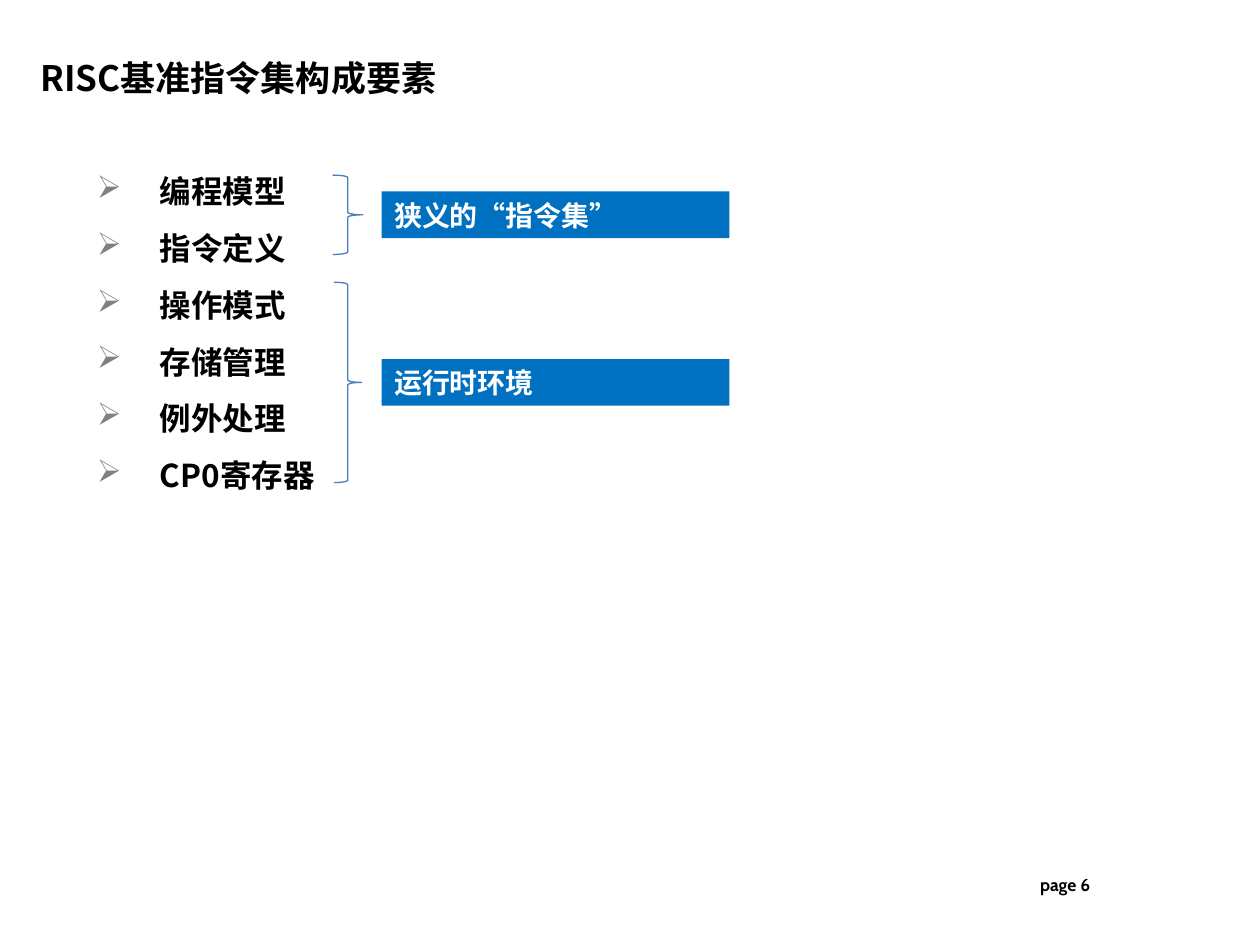
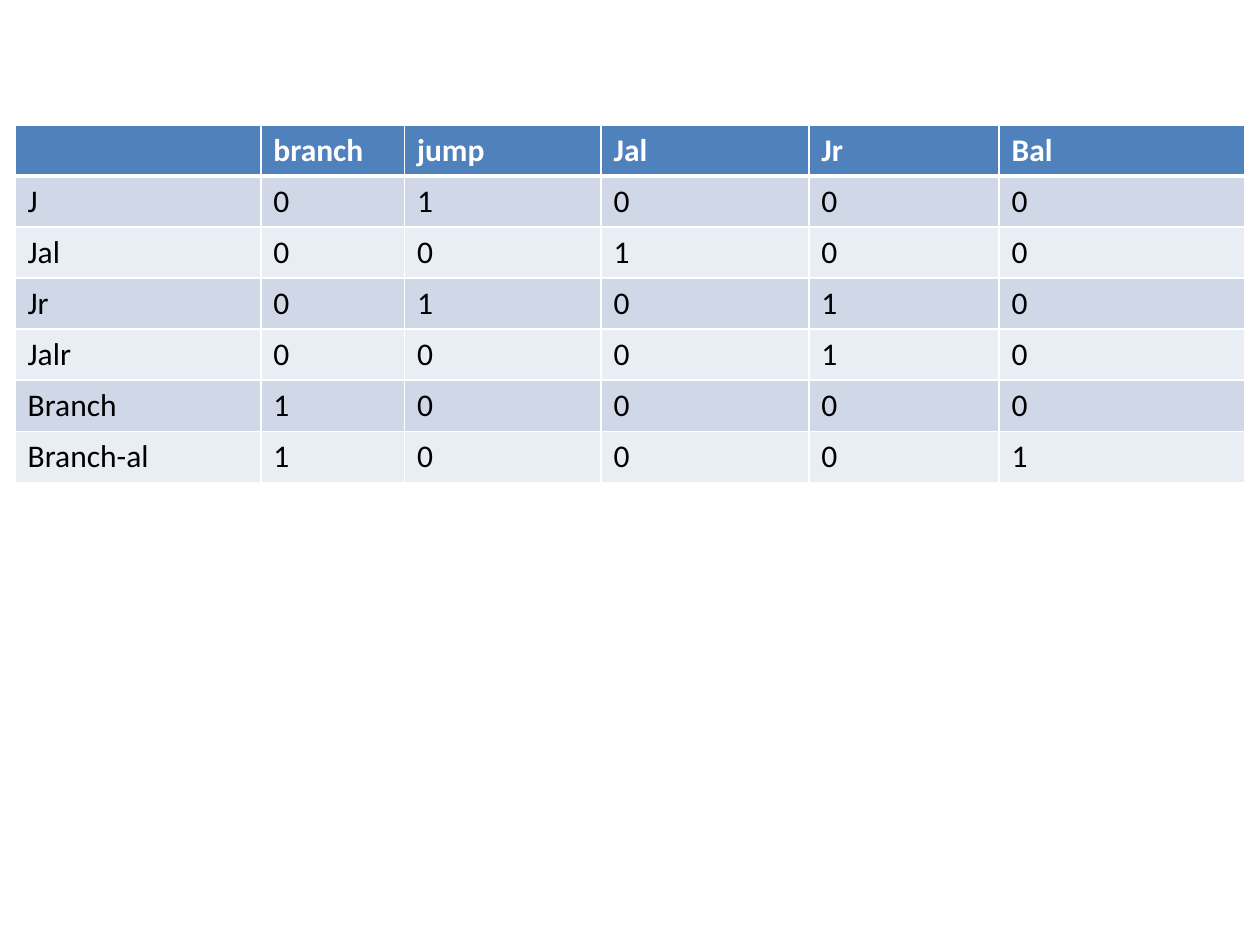
from lxml.etree import SubElement
from pptx import Presentation
from pptx.dml.color import RGBColor
from pptx.enum.shapes import MSO_SHAPE
from pptx.enum.text import MSO_ANCHOR, PP_ALIGN
from pptx.oxml.ns import qn
from pptx.util import Inches, Pt

HUES = {
    "ink": "000000",
    "paper": "FFFFFF",
    "mark": "808080",
    "brace": "4B7EBC",
    "label": "0070C0",
    "head": "4F81BD",
    "odd": "D0D8E8",
    "even": "E9EDF4",
}
HAN = "Noto Sans CJK SC"
LATIN = "Calibri"
PAGE = "Cabin"
TOPICS = ["编程模型", "指令定义", "操作模式", "存储管理", "例外处理", "CP0寄存器"]
GROUPS = [
    ("狭义的“指令集”", (2.64, 1.39, 0.24, 0.63)),
    ("运行时环境", (2.65, 2.24, 0.22, 1.59)),
]
SIGNALS = ["", "branch", "jump", "Jal", "Jr", "Bal"]
CODES = {
    "J": "01000",
    "Jal": "00100",
    "Jr": "01010",
    "Jalr": "00010",
    "Branch": "10000",
    "Branch-al": "10001",
}
WIDTHS = [1.95, 1.14, 1.56, 1.65, 1.51, 1.95]
ROW = 2.84 / 7


def hue(name):
    """Return a named colour."""
    return RGBColor.from_string(HUES[name])


def inch(box):
    """Turn left, top, width and height into lengths."""
    return [Inches(side) for side in box]


def paint(frame, face, size, color="ink", bold=False):
    """Format every run of a text frame."""
    for para in frame.paragraphs:
        for run in para.runs:
            font = run.font
            font.name, font.size, font.bold = face, Pt(size), bold
            font.color.rgb = hue(color)
            if face == HAN:
                SubElement(run.font._element, qn("a:ea"), typeface=face)


def add_title(slide, text):
    """Place and style the slide title."""
    title = slide.shapes.title
    title.left, title.top, title.width, title.height = inch((0.24, 0.38, 5.87, 0.44))
    frame = title.text_frame
    frame.text = text
    frame.vertical_anchor = MSO_ANCHOR.BOTTOM
    frame.margin_left = frame.margin_right = Inches(0.08)
    frame.margin_top = frame.margin_bottom = Inches(0.04)
    frame.paragraphs[0].alignment = PP_ALIGN.LEFT
    paint(frame, HAN, 20, bold=True)


def add_text(slide, box, text):
    """Add a wrapping text box and return its frame."""
    frame = slide.shapes.add_textbox(*inch(box)).text_frame
    frame.word_wrap = True
    frame.text = text
    return frame


def add_page(slide, number):
    """Add the page mark at the foot."""
    frame = add_text(slide, (6.42, 6.82, 2.33, 0.4), f"page {number}")
    frame.vertical_anchor = MSO_ANCHOR.MIDDLE
    frame.paragraphs[0].alignment = PP_ALIGN.RIGHT
    paint(frame, PAGE, 10, bold=True)


def add_list(slide, box, items):
    """Add a list with arrow bullets."""
    frame = add_text(slide, box, "\n".join(items))
    for para in frame.paragraphs:
        para.level = 1
        para.line_spacing = Pt(32.4)
        props = para._p.get_or_add_pPr()
        props.set("marL", str(Inches(1)))
        props.set("indent", str(Inches(-0.5)))
        tint = SubElement(props, qn("a:buClr"))
        SubElement(tint, qn("a:srgbClr"), val=HUES["mark"])
        SubElement(props, qn("a:buChar"), char="➢")
    paint(frame, HAN, 18, bold=True)


def add_brace(slide, box):
    """Add a right brace."""
    brace = slide.shapes.add_shape(MSO_SHAPE.RIGHT_BRACE, *inch(box))
    brace.shadow.inherit = False
    brace.fill.background()
    brace.line.color.rgb = hue("brace")
    brace.line.width = Pt(0.75)


def add_label(slide, text, middle):
    """Add a filled label centred on a height."""
    high = 0.37
    label = slide.shapes.add_shape(
        MSO_SHAPE.RECTANGLE, *inch((3.03, middle - high / 2, 2.76, high)))
    label.shadow.inherit = False
    label.fill.solid()
    label.fill.fore_color.rgb = hue("label")
    label.line.fill.background()
    frame = label.text_frame
    frame.text = text
    frame.margin_top = frame.margin_bottom = 0
    frame.paragraphs[0].alignment = PP_ALIGN.LEFT
    paint(frame, HAN, 16, "paper", True)


def add_edges(cell, widths):
    """Draw the white borders of a cell."""
    props = cell._tc.get_or_add_tcPr()
    for side, width in widths.items():
        line = SubElement(props, qn(f"a:ln{side}"), w=str(Pt(width)))
        fill = SubElement(line, qn("a:solidFill"))
        SubElement(fill, qn("a:srgbClr"), val=HUES["paper"])


def add_grid(slide, rows, left, top):
    """Add a banded table with a header row."""
    shape = slide.shapes.add_table(
        len(rows), len(WIDTHS), *inch((left, top, sum(WIDTHS), ROW * len(rows))))
    table = shape.table
    for column, width in zip(table.columns, WIDTHS):
        column.width = Inches(width)
    for r, row in enumerate(rows):
        head = r == 0
        band = "head" if head else "odd" if r % 2 else "even"
        for c, text in enumerate(row):
            cell = table.cell(r, c)
            cell.text = text
            add_edges(cell, {"L": 1, "R": 1, "T": 3 if r == 1 else 1, "B": 3 if head else 1})
            cell.fill.solid()
            cell.fill.fore_color.rgb = hue(band)
            paint(cell.text_frame, LATIN, 18, "paper" if head else "ink", head)


def main():
    """Build both slides."""
    deck = Presentation()
    deck.slide_width, deck.slide_height = Inches(10), Inches(7.5)

    slide = deck.slides.add_slide(deck.slide_layouts[5])
    add_title(slide, "RISC基准指令集构成要素")
    add_page(slide, 6)
    add_list(slide, (0.17, 1.17, 9.39, 2.83), TOPICS)
    for text, box in GROUPS:
        add_brace(slide, box)
        add_label(slide, text, box[1] + box[3] / 2)

    slide = deck.slides.add_slide(deck.slide_layouts[6])
    add_grid(slide, [SIGNALS] + [[name, *bits] for name, bits in CODES.items()], 0.12, 0.99)
    deck.save("out.pptx")


if __name__ == "__main__":
    main()
